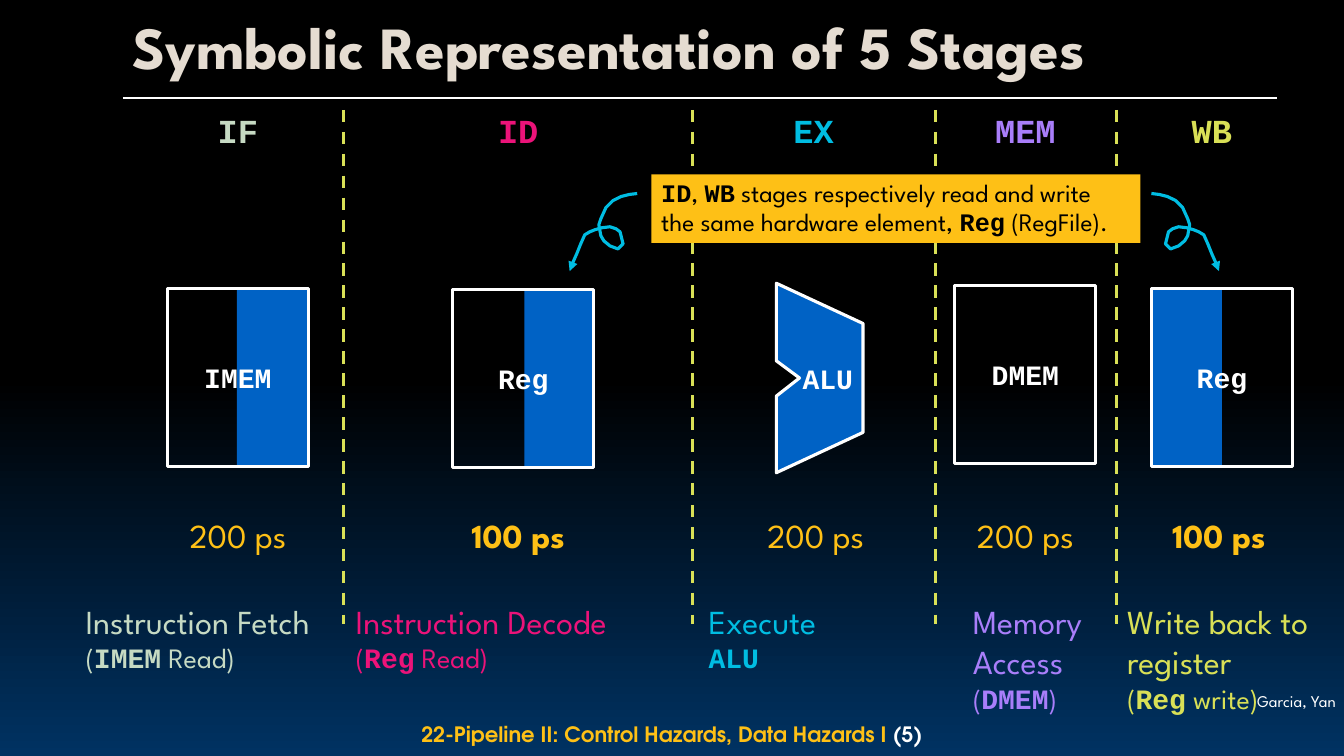
import pptx
import pptx.util
import pptx.dml.color
import pptx.enum.dml
import pptx.enum.shapes
import pptx.enum.text
import pptx.oxml.ns
import pptx.oxml.xmlchemy

Inches, Pt = pptx.util.Inches, pptx.util.Pt
ALIGN = pptx.enum.text.PP_ALIGN
MIDDLE = pptx.enum.text.MSO_ANCHOR.MIDDLE
RECTANGLE = pptx.enum.shapes.MSO_SHAPE.RECTANGLE
new_element = pptx.oxml.xmlchemy.OxmlElement
SANS, CODE, FOOTER_FONT = "League Spartan", "Courier New", "TeX Gyre Adventor"

COLOURS = {
    "black": "000000", "navy": "003262", "white": "FFFFFF", "cream": "E5DCD1",
    "gold": "FEC016", "blue": "0062C5", "sage": "C6DAC3", "pink": "EB1379",
    "cyan": "00BDE2", "violet": "A97EFA", "lime": "D9E056",
}
TITLE = "Symbolic Representation of 5 Stages"
FOOTER = "22-Pipeline II: Control Hazards, Data Hazards I "
PAGE_NUMBER = "(5)"
AUTHORS = "Garcia, Yan"

# Text between backticks is set in the code font.
CALLOUT = ("`ID`, `WB` stages respectively read and write "
           "the same hardware element, `Reg` (RegFile).")

# name, colour, heading centre, time, time centre, time is bold
STAGES = [
    ("IF", "sage", 2.36, "200 ps", 2.36, False),
    ("ID", "pink", 5.14, "100 ps", 5.14, True),
    ("EX", "cyan", 8.07, "200 ps", 8.09, False),
    ("MEM", "violet", 10.17, "200 ps", 10.17, False),
    ("WB", "lime", 12.02, "100 ps", 12.09, True),
]
# colour, left, width, phrase, detail
DESCRIPTIONS = [
    ("sage", 0.75, 2.63, "Instruction Fetch", "(`IMEM` Read)"),
    ("pink", 3.43, 3.43, "Instruction Decode", "(`Reg` Read)"),
    ("cyan", 6.93, 2.6, "Execute", "`ALU`"),
    ("violet", 9.55, 1.52, "Memory Access", "(`DMEM`)"),
    ("lime", 11.08, 2.25, "Write back to register", "(`Reg` write)"),
]
# label, left, top, left edge of the blue half
UNITS = [
    ("IMEM", 1.66, 2.86, 2.35),
    ("Reg", 4.49, 2.87, 5.2),
    ("DMEM", 9.47, 2.83, None),
    ("Reg", 11.42, 2.86, 11.42),
]
UNIT_WIDTH, UNIT_HEIGHT = 1.4, 1.77
DIVIDERS = [3.41, 6.87, 9.28, 11.07]
ALU_OUTLINE = [(7.7, 2.81), (7.7, 3.58), (7.93, 3.75), (7.7, 3.93),
               (7.7, 4.69), (8.56, 4.29), (8.56, 3.21)]
CURL = [
    (11.42, 1.92), (11.5, 1.93), (11.58, 1.95), (11.66, 1.99), (11.73, 2.06),
    (11.78, 2.17), (11.8, 2.23), (11.78, 2.34), (11.75, 2.39), (11.69, 2.44),
    (11.61, 2.47), (11.56, 2.42), (11.58, 2.34), (11.59, 2.3), (11.63, 2.27),
    (11.69, 2.25), (11.77, 2.26), (11.84, 2.28), (11.89, 2.3), (11.94, 2.33),
    (11.98, 2.42), (12.02, 2.52), (12.06, 2.61), (12.09, 2.69),
]
MIRROR_SUM = 11.42 + 6.32


def rgb(name):
    return pptx.dml.color.RGBColor.from_string(COLOURS[name])


def style(span, size, colour, font=SANS, bold=False):
    span.font.size, span.font.name, span.font.bold = Pt(size), font, bold
    span.font.color.rgb = rgb(colour)


def write(para, text, size, colour, bold=False, align=ALIGN.LEFT):
    """Fill a paragraph, setting backticked words in bold code font."""
    para.alignment = align
    for index, part in enumerate(text.split("`")):
        if part:
            span = para.add_run()
            span.text = part
            is_code = index % 2 == 1
            style(span, size, colour, CODE if is_code else SANS, bold or is_code)


def add_text(page, left, top, width, height):
    box = page.shapes.add_textbox(*map(Inches, (left, top, width, height)))
    box.text_frame.word_wrap = True
    return box.text_frame


def paint(shape, fill=None, line=None):
    shape.shadow.inherit = False
    if fill:
        shape.fill.solid()
        shape.fill.fore_color.rgb = rgb(fill)
    else:
        shape.fill.background()
    if line:
        shape.line.color.rgb = rgb(line)
        shape.line.width = Pt(2.25)
    else:
        shape.line.fill.background()


def add_rectangle(page, left, top, width, height, fill=None, line=None):
    shape = page.shapes.add_shape(
        RECTANGLE, *map(Inches, (left, top, width, height)))
    paint(shape, fill, line)
    return shape


def add_outline(page, points, closed, fill=None, line=None):
    corners = [(Inches(x), Inches(y)) for x, y in points]
    builder = page.shapes.build_freeform(*corners[0])
    builder.add_line_segments(corners[1:], close=closed)
    shape = builder.convert_to_shape()
    paint(shape, fill, line)
    return shape


def add_line(page, start, end, colour, width):
    line = page.shapes.add_connector(
        pptx.enum.shapes.MSO_CONNECTOR.STRAIGHT, *map(Inches, start + end))
    line.line.color.rgb = rgb(colour)
    line.line.width = Pt(width)
    line.element.spPr.append(new_element("a:effectLst"))
    return line


def add_frame(page):
    """Background, title, rule and footer."""
    fill = page.background.fill
    fill.gradient()
    fill.gradient_angle = 270
    for stop, position, colour in zip(
            fill.gradient_stops, (0.5, 1), ("black", "navy")):
        stop.position = position
        stop.color.rgb = rgb(colour)

    title = page.shapes.title
    title.left, title.top, title.width, title.height = map(
        Inches, (1.21, 0.08, 11.49, 0.84))
    frame = title.text_frame
    frame.auto_size = pptx.enum.text.MSO_AUTO_SIZE.NONE
    frame.vertical_anchor = MIDDLE
    frame.paragraphs[0].line_spacing = 0.9
    write(frame.paragraphs[0], TITLE, 42.7, "cream", bold=True)
    add_line(page, (1.22, 0.97), (12.67, 0.97), "white", 1.5)

    frame = add_text(page, 11.89, 6.83, 1.44, 0.26)
    frame.margin_left = frame.margin_right = Inches(0.08)
    frame.margin_top = frame.margin_bottom = Inches(0.03)
    write(frame.paragraphs[0], AUTHORS, 11.7, "white", align=ALIGN.RIGHT)

    frame = add_text(page, 2.45, 7.12, 8.43, 0.32)
    frame.vertical_anchor = MIDDLE
    para = frame.paragraphs[0]
    para.alignment = ALIGN.CENTER
    for text, colour in ((FOOTER, "gold"), (PAGE_NUMBER, "white")):
        span = para.add_run()
        span.text = text
        style(span, 15.1, colour, FOOTER_FONT, True)


def add_stages(page):
    for x in DIVIDERS:
        line = add_line(page, (x, 1.09), (x, 6.19), "lime", 2.25)
        line.line.dash_style = pptx.enum.dml.MSO_LINE.DASH
    for name, colour, centre, time, time_centre, bold in STAGES:
        heading = add_text(page, centre - 0.75, 1.04, 1.5, 0.5)
        write(heading.paragraphs[0], f"`{name}`", 24, colour, align=ALIGN.CENTER)
        label = add_text(page, time_centre - 0.7, 5.06, 1.4, 0.5)
        write(label.paragraphs[0], time, 24, "gold", bold, ALIGN.CENTER)
    for colour, left, width, phrase, detail in DESCRIPTIONS:
        frame = add_text(page, left, 5.91, width, 0.84)
        write(frame.paragraphs[0], phrase, 24, colour)
        write(frame.add_paragraph(), detail, 20, colour)


def add_hardware(page):
    for label, left, top, half_left in UNITS:
        if half_left is not None:
            add_rectangle(page, half_left, top, UNIT_WIDTH / 2, UNIT_HEIGHT, "blue")
        unit = add_rectangle(page, left, top, UNIT_WIDTH, UNIT_HEIGHT, line="white")
        unit.text_frame.vertical_anchor = MIDDLE
        write(unit.text_frame.paragraphs[0], f"`{label}`", 20, "white",
              align=ALIGN.CENTER)
    alu = add_outline(page, ALU_OUTLINE, True, "blue", "white")
    alu.text_frame.vertical_anchor = MIDDLE
    write(alu.text_frame.paragraphs[0], "`ALU`", 20, "white", align=ALIGN.RIGHT)


def add_callout(page):
    note = add_rectangle(page, 6.46, 1.73, 4.85, 0.68, "gold")
    note.text_frame.vertical_anchor = pptx.enum.text.MSO_ANCHOR.TOP
    para = note.text_frame.paragraphs[0]
    para.line_spacing = 0.95
    write(para, CALLOUT, 18, "black")
    mirrored = [(MIRROR_SUM - x, y) for x, y in CURL]
    for points in (CURL, mirrored):
        arrow = add_outline(page, points, False, line="cyan")
        stroke = arrow.element.spPr.find(pptx.oxml.ns.qn("a:ln"))
        head = new_element("a:tailEnd")
        head.set("type", "triangle")
        stroke.extend([new_element("a:round"), head])


def main():
    deck = pptx.Presentation()
    deck.slide_width, deck.slide_height = Inches(13.33), Inches(7.5)
    page = deck.slides.add_slide(deck.slide_layouts[5])
    add_frame(page)
    add_stages(page)
    add_hardware(page)
    add_callout(page)
    deck.save("out.pptx")


if __name__ == "__main__":
    main()
